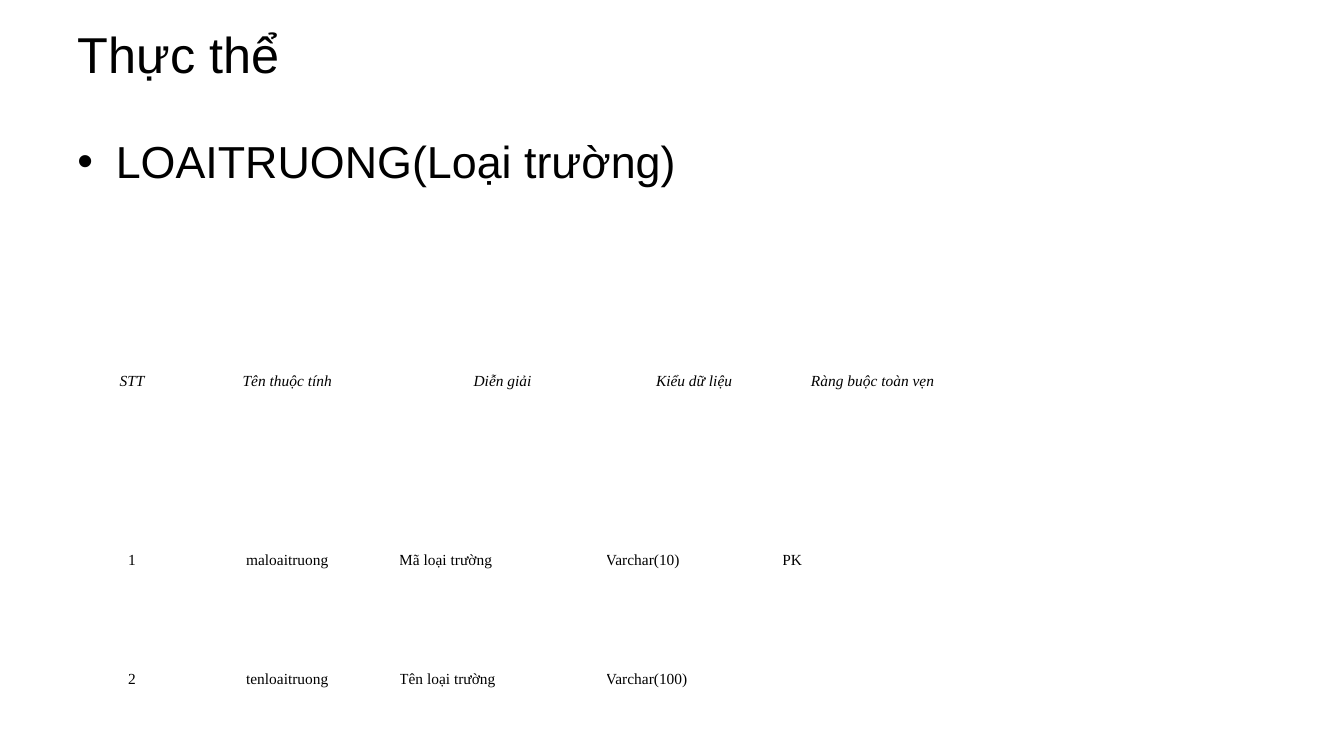
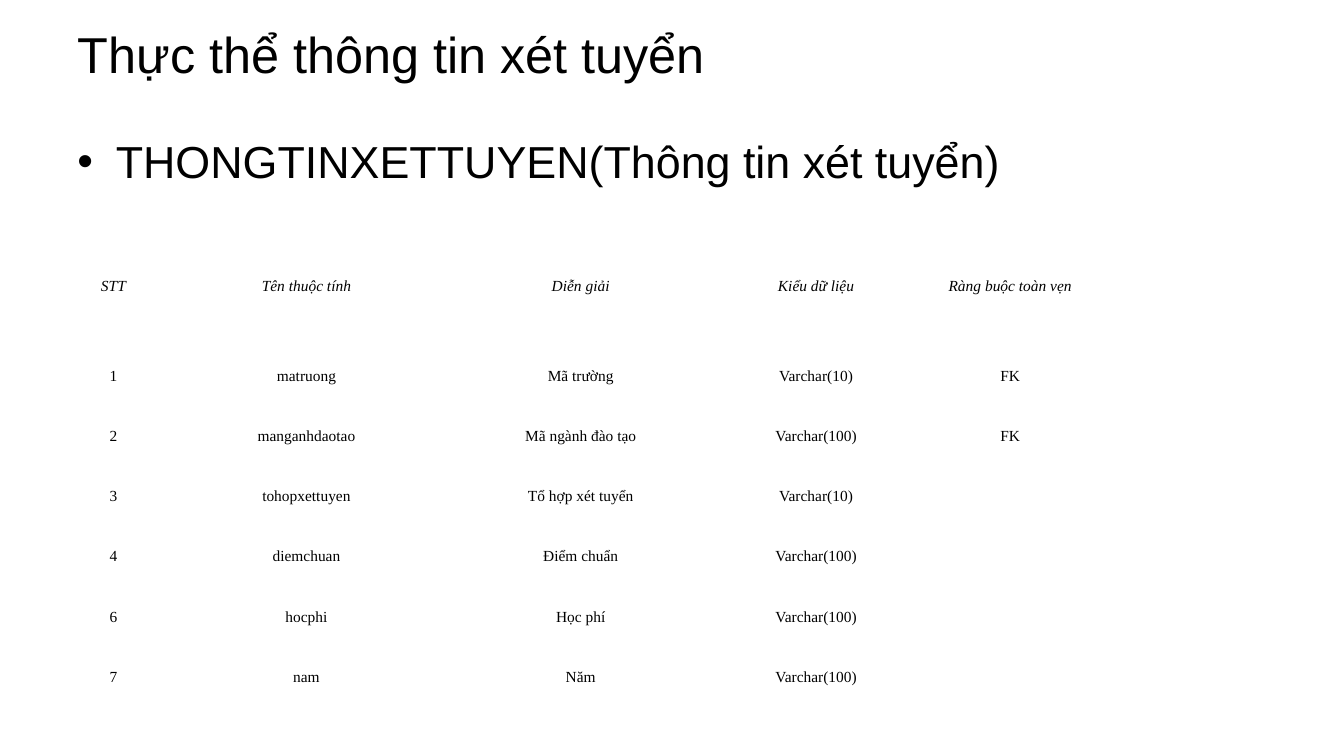
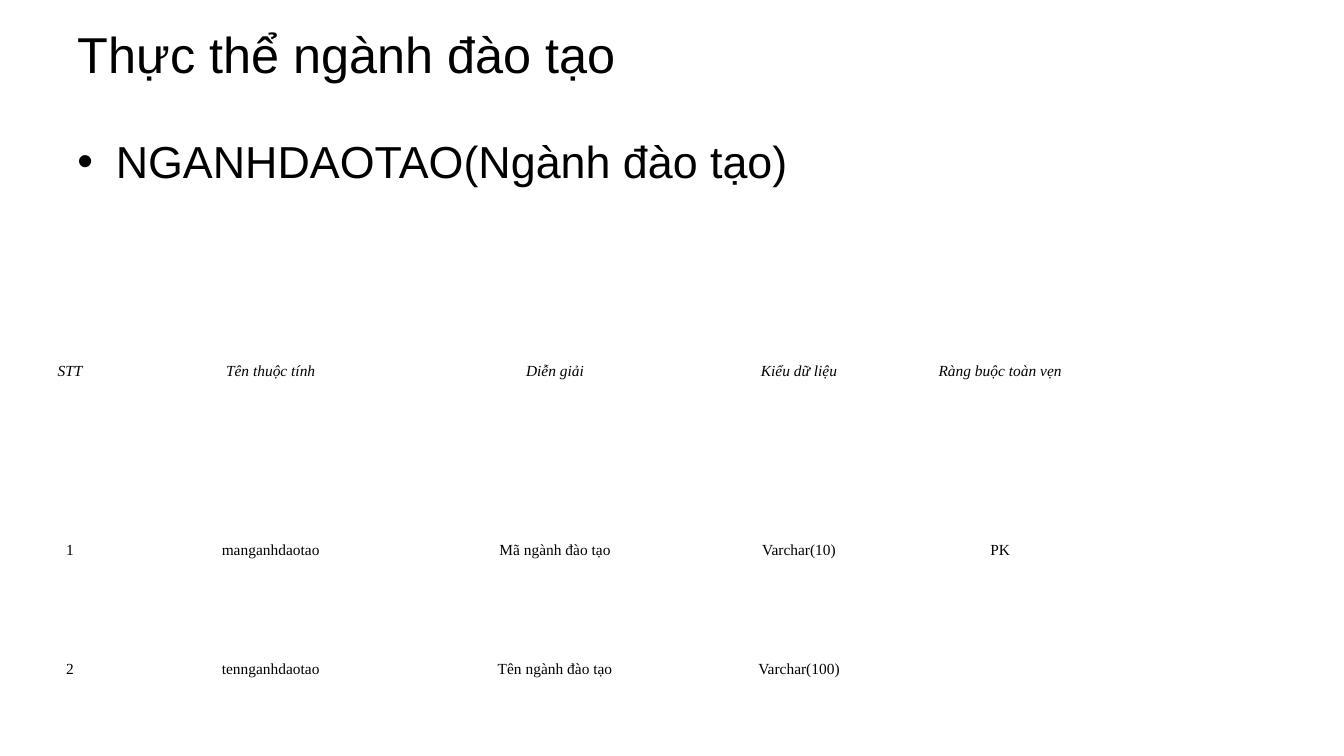
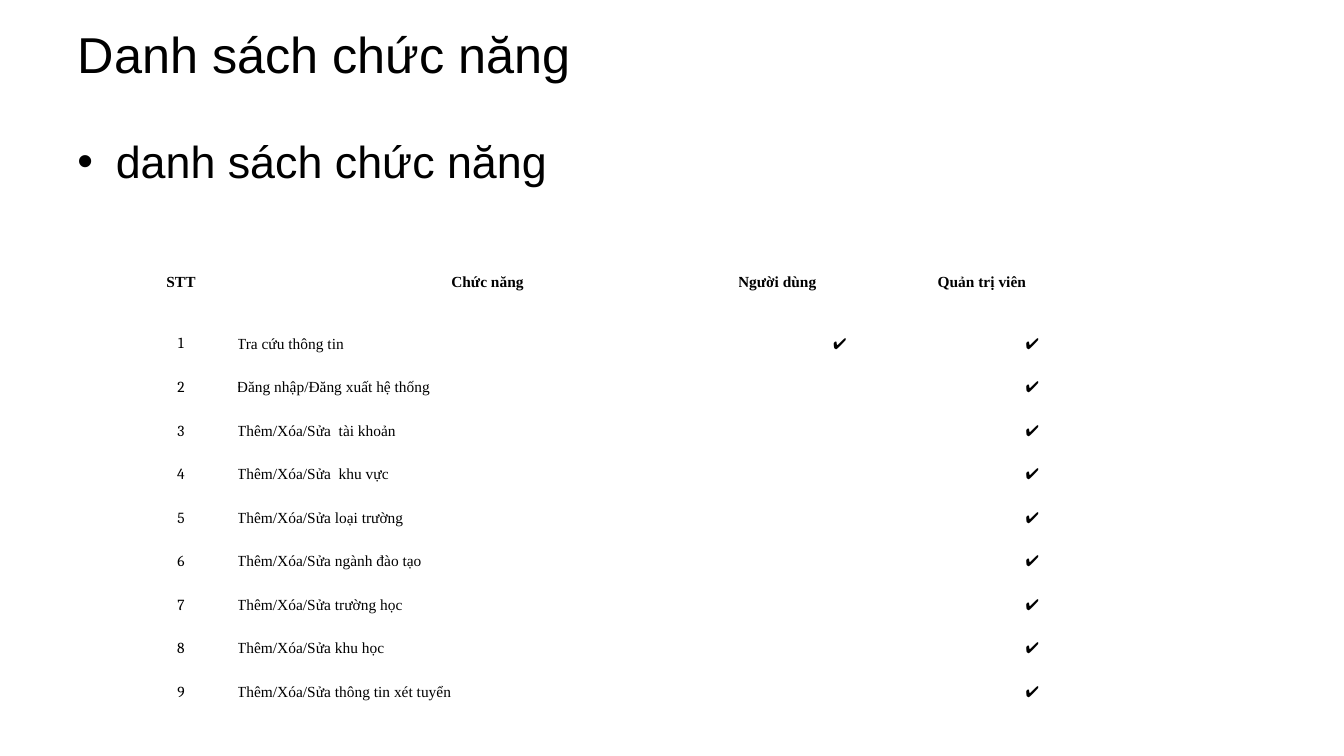
from lxml.etree import SubElement
from pptx import Presentation
from pptx.dml.color import RGBColor
from pptx.enum.text import MSO_ANCHOR, MSO_AUTO_SIZE, PP_ALIGN
from pptx.oxml.ns import qn
from pptx.util import Emu, Pt

BLACK = RGBColor(0, 0, 0)
SANS, SERIF, DIGITS = "Arial", "Times New Roman", "Cambria"
ALIGN = {"l": PP_ALIGN.LEFT, "c": PP_ALIGN.CENTER}
ATTRIBUTES = ["STT", "Tên thuộc tính", "Diễn giải", "Kiểu dữ liệu", "Ràng buộc toàn vẹn"]
TICK = " ✔"


def px(n):
    """Turn px (100 to the inch) into EMU."""
    return Emu(round(n * 9144))


class Deck:
    TITLE_BOX = (67, 21, 1200, 64)
    BODY_BOX = (67, 128, 1200, 542)

    def __init__(self):
        self.prs = Presentation()
        self.prs.slide_width, self.prs.slide_height = px(1333), px(750)
        self.s = None

    def font(self, p, name, size, bold=False, italic=False):
        for r in p.runs:
            f = r.font
            f.name, f.size, f.bold, f.italic = name, Pt(size), bold, italic
            f.color.rgb = BLACK

    def slide(self, title, bullet):
        self.s = self.prs.slides.add_slide(self.prs.slide_layouts[5])
        self.title(title)
        self.bullet(bullet)

    def title(self, text):
        sp = self.s.shapes.title
        sp.left, sp.top, sp.width, sp.height = map(px, self.TITLE_BOX)
        tf = sp.text_frame
        tf.text = text
        tf.auto_size = MSO_AUTO_SIZE.NONE
        tf.vertical_anchor = MSO_ANCHOR.MIDDLE
        p = tf.paragraphs[0]
        p.alignment = PP_ALIGN.LEFT
        self.font(p, SANS, 36)

    def bullet(self, text):
        tf = self.s.shapes.add_textbox(*map(px, self.BODY_BOX)).text_frame
        tf.word_wrap = True
        tf.text = text
        p = tf.paragraphs[0]
        p.space_before = Pt(6.4)
        self.font(p, SANS, 32)
        pPr = p._p.get_or_add_pPr()
        pPr.set("marL", str(px(38)))
        pPr.set("indent", str(-px(38)))
        SubElement(pPr, qn("a:buFont"), typeface=SANS)
        SubElement(pPr, qn("a:buChar"), char="•")

    def cell(self, cell, text, align, name=SERIF, **style):
        cell.fill.background()
        cell.margin_left = cell.margin_right = cell.margin_top = cell.margin_bottom = 0
        cell.vertical_anchor = MSO_ANCHOR.MIDDLE
        if text:
            cell.text = text
            p = cell.text_frame.paragraphs[0]
            p.alignment, p.line_spacing = ALIGN[align], 1.07
            self.font(p, name, 11, **style)

    def table(self, left, top, height, head_height, widths, head, rows,
              head_align="ccccc", align="ccccc", index_font=SERIF, **head_style):
        """Draw a table; the rows below the header share the rest of its height."""
        frame = self.s.shapes.add_table(len(rows) + 1, len(widths), px(left), px(top),
                                        px(sum(widths)), px(height))
        table = frame.table
        table.first_row = table.horz_banding = False
        for column, width in zip(table.columns, widths):
            column.width = px(width)
        for i, row in enumerate(table.rows):
            row.height = px((height - head_height) / len(rows) if i else head_height)
        for c, text in enumerate(head):
            self.cell(table.cell(0, c), text, head_align[c], **head_style)
        for r, row in enumerate(rows, 1):
            for c, text in enumerate(row):
                self.cell(table.cell(r, c), text, align[c], SERIF if c else index_font)


def main():
    deck = Deck()

    deck.slide("Thực thể", "LOAITRUONG(Loại trường)")
    deck.table(88, 259, 473, 237, [86, 222, 205, 175, 179], ATTRIBUTES, [
        ["1", "maloaitruong", "Mã loại trường", "Varchar(10)", "PK"],
        ["2", "tenloaitruong", "Tên loại trường", "Varchar(100)", ""],
    ], align="cclll", italic=True)

    deck.slide("Thực thể thông tin xét tuyển", "THONGTINXETTUYEN(Thông tin xét tuyển)")
    deck.table(67, 224, 477, 119, [91, 292, 252, 215, 170], ATTRIBUTES, [
        ["1", "matruong", "Mã trường", "Varchar(10)", "FK"],
        ["2", "manganhdaotao", "Mã ngành đào tạo", "Varchar(100)", "FK"],
        ["3", "tohopxettuyen", "Tổ hợp xét tuyển", "Varchar(10)", ""],
        ["4", "diemchuan", "Điểm chuẩn", "Varchar(100)", ""],
        ["6", "hocphi", "Học phí", "Varchar(100)", ""],
        ["7", "nam", "Năm", "Varchar(100)", ""],
    ], italic=True)

    deck.slide("Thực thể ngành đào tạo", "NGANHDAOTAO(Ngành đào tạo)")
    deck.table(22, 250, 472, 236, [95, 303, 261, 223, 176], ATTRIBUTES, [
        ["1", "manganhdaotao", "Mã ngành đào tạo", "Varchar(10)", "PK"],
        ["2", "tennganhdaotao", "Tên ngành đào tạo", "Varchar(100)", ""],
    ], italic=True)

    deck.slide("Danh sách chức năng", "danh sách chức năng")
    functions = [
        "Tra cứu thông tin",
        "Đăng nhập/Đăng xuất hệ thống",
        "Thêm/Xóa/Sửa  tài khoản",
        "Thêm/Xóa/Sửa  khu vực",
        "Thêm/Xóa/Sửa loại trường",
        "Thêm/Xóa/Sửa ngành đào tạo",
        "Thêm/Xóa/Sửa trường học",
        "Thêm/Xóa/Sửa khu học",
        "Thêm/Xóa/Sửa thông tin xét tuyển",
    ]
    deck.table(124, 239, 469, 80, [111, 497, 198, 184],
               ["STT", "Chức năng", "Người dùng", "Quản trị viên"],
               [[str(n), name, TICK if n == 1 else "", TICK]
                for n, name in enumerate(functions, 1)],
               head_align="ccll", align="clcc", index_font=DIGITS, bold=True)

    deck.prs.save("out.pptx")


if __name__ == "__main__":
    main()
